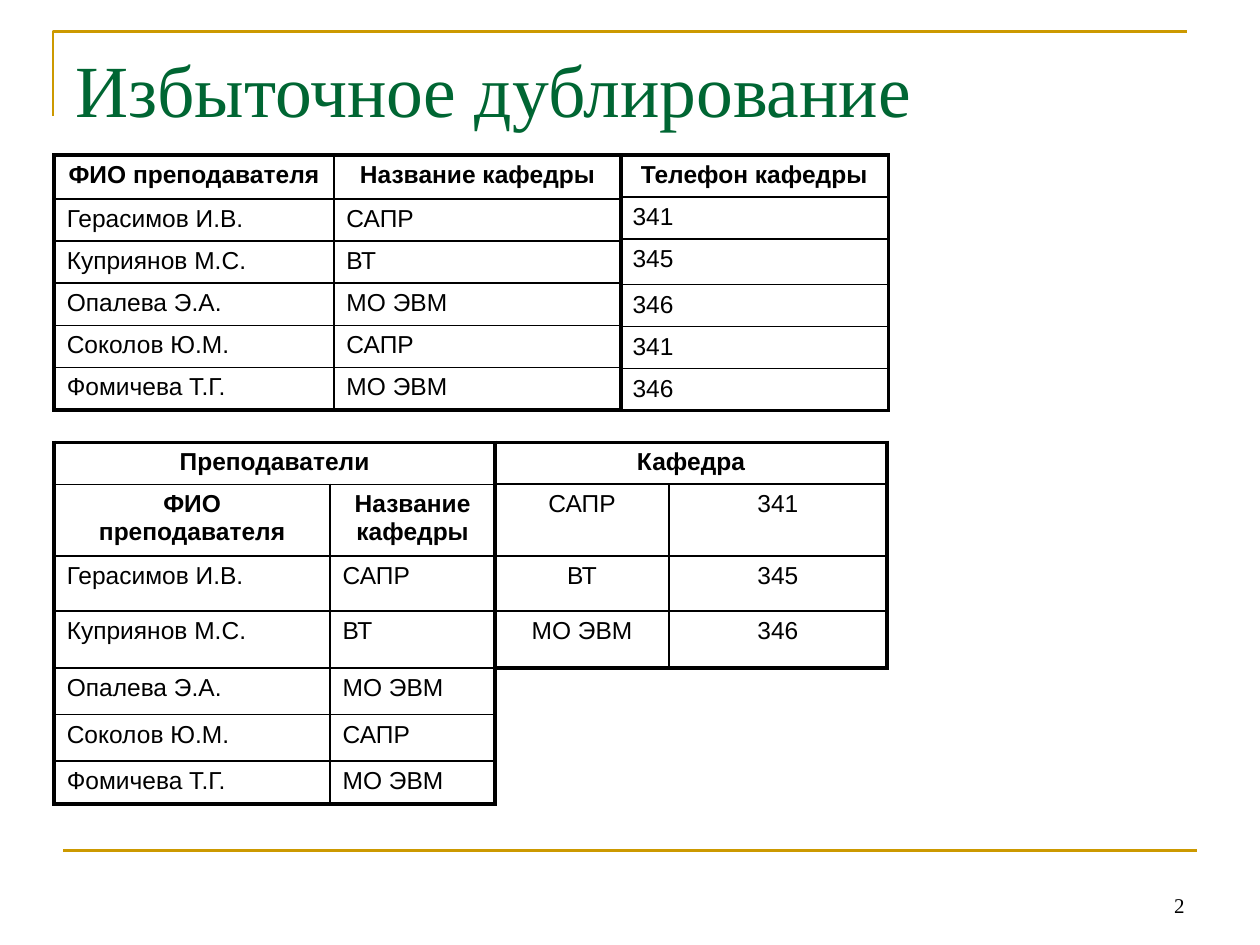
from lxml import etree
from pptx import Presentation
from pptx.dml.color import RGBColor
from pptx.enum.shapes import MSO_CONNECTOR
from pptx.enum.text import MSO_ANCHOR, PP_ALIGN
from pptx.oxml.ns import qn
from pptx.util import Inches, Pt

GREEN = RGBColor(0x00, 0x66, 0x33)
GOLD = RGBColor(0xCC, 0x99, 0x00)
BLACK = RGBColor(0, 0, 0)
LEFT, CENTER, RIGHT = PP_ALIGN.LEFT, PP_ALIGN.CENTER, PP_ALIGN.RIGHT
TOP, BOTTOM = MSO_ANCHOR.TOP, MSO_ANCHOR.BOTTOM
STRAIGHT = MSO_CONNECTOR.STRAIGHT
PLAIN_TABLE = "{2D5ABB26-0587-4C30-8999-92F81FD0307C}"
THICK, MEDIUM, THIN = 2.25, 1.5, 1

NAME, DEPARTMENT = "ФИО преподавателя", "Название кафедры"
PHONES = {"САПР": "341", "ВТ": "345", "МО ЭВМ": "346"}
TEACHERS = [
    ("Герасимов И.В.", "САПР"),
    ("Куприянов М.С.", "ВТ"),
    ("Опалева Э.А.", "МО ЭВМ"),
    ("Соколов Ю.М.", "САПР"),
    ("Фомичева Т.Г.", "МО ЭВМ"),
]


class Page:
    serif, sans = "Times New Roman", "Arial"

    def __init__(self, deck):
        self.shapes = deck.slides.add_slide(deck.slide_layouts[6]).shapes

    def style(self, para, font, size, color, align=LEFT, bold=False):
        para.alignment = align
        para.font.name = font
        para.font.size = Pt(size)
        para.font.color.rgb = color
        para.font.bold = bold

    def text(self, words, left, top, width, height, size, color, align, anchor):
        box = self.shapes.add_textbox(*map(Inches, (left, top, width, height)))
        frame = box.text_frame
        frame.word_wrap = True
        frame.vertical_anchor = anchor
        frame.text = words
        self.style(frame.paragraphs[0], self.serif, size, color, align)

    def outline(self, points):
        corners = [(Inches(x), Inches(y)) for x, y in points]
        builder = self.shapes.build_freeform(*corners[0])
        builder.add_line_segments(corners[1:], close=False)
        shape = builder.convert_to_shape()
        shape.shadow.inherit = False
        shape.fill.background()
        shape.line.color.rgb = GOLD
        shape.line.width = Pt(MEDIUM)

    def rule(self, x1, y1, x2, y2):
        line = self.shapes.add_connector(STRAIGHT, *map(Inches, (x1, y1, x2, y2)))
        line.line.color.rgb = GOLD
        line.line.width = Pt(MEDIUM)
        etree.SubElement(line._element.spPr, qn("a:effectLst"))

    def table(self, left, top, widths, heights, rows, is_header, is_centered):
        area = map(Inches, (left, top, sum(widths), sum(heights)))
        table = self.shapes.add_table(len(heights), len(widths), *area).table
        table.first_row = table.horz_banding = False
        table._tbl.tblPr.find(qn("a:tableStyleId")).text = PLAIN_TABLE
        for column, width in zip(table.columns, widths):
            column.width = Inches(width)
        for r, row in enumerate(rows):
            table.rows[r].height = Inches(heights[r])
            for c, words in enumerate(row):
                cell = table.cell(r, c)
                cell.fill.background()
                cell.text = words
                header = is_header(r, c)
                align = CENTER if header or is_centered(r, c) else LEFT
                para = cell.text_frame.paragraphs[0]
                self.style(para, self.sans, 14, BLACK, align, header)
                if not words:
                    etree.SubElement(para._p, qn("a:endParaRPr"), sz="1400")
        return table

    def borders(self, table, first_row, first_col, last_row, last_col, inner, left=THICK):
        for r in range(first_row, last_row + 1):
            for c in range(first_col, last_col + 1):
                cell = table.cell(r, c)
                if cell.is_spanned:
                    continue
                end = c + (cell.span_width if cell.is_merge_origin else 1) - 1
                edges = {
                    "a:lnL": left if c == first_col else inner,
                    "a:lnR": THICK if end == last_col else inner,
                    "a:lnT": THICK if r == first_row else inner,
                    "a:lnB": THICK if r == last_row else inner,
                }
                props = cell._tc.get_or_add_tcPr()
                for index, (tag, width) in enumerate(edges.items()):
                    line = etree.Element(qn(tag), w=str(Pt(width)))
                    fill = etree.SubElement(line, qn("a:solidFill"))
                    etree.SubElement(fill, qn("a:srgbClr"), val=str(BLACK))
                    props.insert(index, line)


deck = Presentation()
deck.slide_width, deck.slide_height = Inches(10), Inches(7.5)
page = Page(deck)

page.outline([(0.42, 0.92), (0.42, 0.25), (9.42, 0.25)])
page.rule(0.5, 6.75, 9.5, 6.75)
page.text("Избыточное дублирование", 0.5, 0.3, 9, 1.25, 42, GREEN, LEFT, TOP)

teachers = page.table(
    0.43, 1.23, [2.22, 2.28], [0.35, 0.28, 0.27, 0.33, 0.31, 0.34],
    [(NAME, DEPARTMENT)] + TEACHERS,
    lambda r, c: r == 0, lambda r, c: False)
page.borders(teachers, 0, 0, 5, 1, THIN)

phones = page.table(
    4.92, 1.23, [2.13], [0.31, 0.3, 0.36, 0.3, 0.28, 0.26],
    [("Телефон кафедры",)] + [(PHONES[department],) for _, department in TEACHERS],
    lambda r, c: r == 0, lambda r, c: False)
page.borders(phones, 0, 0, 5, 0, THIN, left=THIN)

left_half = [("Преподаватели", ""), (NAME, DEPARTMENT)] + TEACHERS
right_half = [("Кафедра", "", "")] + [(code, "", phone) for code, phone in PHONES.items()]
right_half += [("", "", "")] * (len(left_half) - len(right_half))
split = page.table(
    0.43, 3.51, [2.19, 1.31, 0.43, 0.95, 1.73],
    [0.32, 0.53, 0.44, 0.45, 0.37, 0.37, 0.34],
    [a + b for a, b in zip(left_half, right_half)],
    lambda r, c: r == 0 or (r == 1 and c < 2), lambda r, c: c >= 2)
for row, first, last in [(0, 0, 1), (0, 2, 4), (1, 2, 3), (2, 2, 3), (3, 2, 3)]:
    split.cell(row, first).merge(split.cell(row, last))
page.borders(split, 0, 0, 6, 1, THIN)
page.borders(split, 0, 2, 3, 4, MEDIUM)

page.text("2", 7.17, 6.83, 2.33, 0.5, 12, BLACK, RIGHT, BOTTOM)
deck.save("out.pptx")
